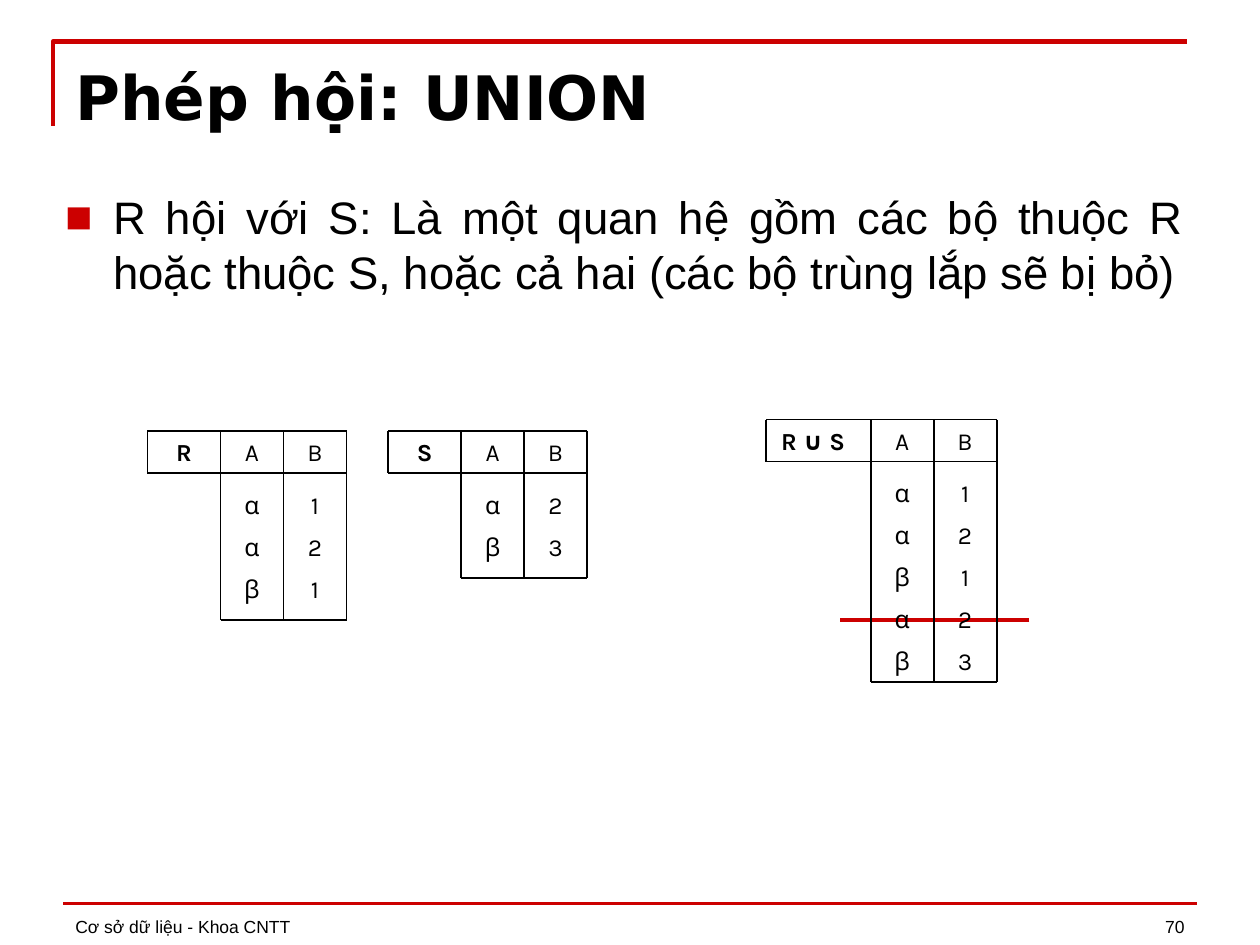
from lxml import etree
from pptx import Presentation
from pptx.dml.color import RGBColor
from pptx.enum.shapes import MSO_CONNECTOR
from pptx.enum.text import MSO_ANCHOR, PP_ALIGN
from pptx.oxml.ns import qn
from pptx.util import Inches, Pt

STRAIGHT = MSO_CONNECTOR.STRAIGHT
TOP, BOTTOM = MSO_ANCHOR.TOP, MSO_ANCHOR.BOTTOM
LEFT, CENTER = PP_ALIGN.LEFT, PP_ALIGN.CENTER
RIGHT, JUSTIFY = PP_ALIGN.RIGHT, PP_ALIGN.JUSTIFY
RED, BLACK = "CC0000", "000000"
ROW, COL, PAD = 1 / 3, 0.5, 1 / 12


def color(code):
    return RGBColor.from_string(code)


def add_line(shapes, x1, y1, x2, y2, code=BLACK, width=1):
    line = shapes.add_connector(
        STRAIGHT, Inches(x1), Inches(y1), Inches(x2), Inches(y2))
    line.line.color.rgb = color(code)
    line.line.width = Pt(width)
    etree.SubElement(line._element.spPr, qn("a:effectLst"))


def add_text(shapes, box, text, font, size, bold=False, align=LEFT,
             anchor=TOP, inset=0.05, bullet=False):
    frame = shapes.add_textbox(*map(Inches, box)).text_frame
    frame.word_wrap = True
    frame.vertical_anchor = anchor
    frame.margin_top = Inches(inset)
    para = frame.paragraphs[0]
    para.text = text
    para.alignment = align
    if bullet:
        add_bullet(para)
    para.font.name = font
    para.font.size = Pt(size)
    para.font.bold = bold
    para.font.color.rgb = color(BLACK)


def add_bullet(para):
    props = para._p.get_or_add_pPr()
    props.set("marL", str(Inches(0.38)))
    props.set("indent", str(-Inches(0.38)))
    tint = etree.SubElement(props, qn("a:buClr"))
    etree.SubElement(tint, qn("a:srgbClr"), val=RED)
    etree.SubElement(props, qn("a:buFont"), typeface="Arial")
    etree.SubElement(props, qn("a:buChar"), char="■")


def add_corner(shapes):
    path = shapes.build_freeform(Inches(0.42), Inches(1))
    path.add_line_segments(
        [(Inches(0.42), Inches(0.33)), (Inches(9.42), Inches(0.33))],
        close=False)
    corner = path.convert_to_shape()
    corner.shadow.inherit = False
    corner.fill.background()
    corner.line.color.rgb = color(RED)
    corner.line.width = Pt(2.5)


def add_cell(shapes, x, y, width, text, bold=False):
    add_text(shapes, (x, y, width, ROW), text, "Karla", 14, bold, CENTER)


def add_relation(slide, name, rows, left, top, label, lead=0, foot=PAD):
    shapes = slide.shapes.add_group_shape().shapes
    body = left + label
    right = body + 2 * COL
    head = top + ROW
    end = head + PAD + len(rows) * ROW + foot

    add_cell(shapes, left - lead, top, label + lead, name, True)
    for col, title in enumerate("AB"):
        x = body + col * COL
        add_cell(shapes, x, top, COL, title)
        for row, pair in enumerate(rows):
            add_cell(shapes, x, head + PAD + row * ROW, COL, pair[col])

    for start, y in ((left, top), (left, head), (body, end)):
        add_line(shapes, start, y, right, y)
    add_line(shapes, left, top, left, head)
    for col in range(3):
        x = body + col * COL
        add_line(shapes, x, top, x, end)


def main():
    deck = Presentation()
    deck.slide_width, deck.slide_height = Inches(10), Inches(7.5)
    slide = deck.slides.add_slide(deck.slide_layouts[6])
    shapes = slide.shapes

    add_corner(shapes)
    add_line(shapes, 0.5, 7.17, 9.5, 7.17, RED, 2)
    add_text(shapes, (0.5, 6.99, 6.08, 0.5), "Cơ sở dữ liệu - Khoa CNTT",
             "Arial", 10, anchor=BOTTOM)
    add_text(shapes, (7.17, 6.99, 2.33, 0.5), "70", "Arial", 10,
             align=RIGHT, anchor=BOTTOM)
    add_line(shapes, 8.17, 4.92, 6.67, 4.92, RED, 2.25)
    add_text(shapes, (0.5, 0.39, 9, 0.68), "Phép hội: UNION",
             "DejaVu Sans", 35, True, inset=0.08)
    add_text(shapes, (0.42, 1.42, 9.08, 5.58),
             "R hội với S: Là một quan hệ gồm các bộ thuộc R hoặc thuộc S, "
             "hoặc cả hai (các bộ trùng lắp sẽ bị bỏ)",
             "Arial", 26, align=JUSTIFY, inset=0.08, bullet=True)

    first = ["α1", "α2", "β1"]
    second = ["α2", "β3"]
    add_relation(slide, "R", first, 1.17, 3.42, 0.58)
    add_relation(slide, "S", second, 3.08, 3.42, 0.58)
    add_relation(slide, "R ∪ S", first + second, 6.08, 3.33, 0.83,
                 lead=PAD, foot=0)
    deck.save("out.pptx")


if __name__ == "__main__":
    main()
